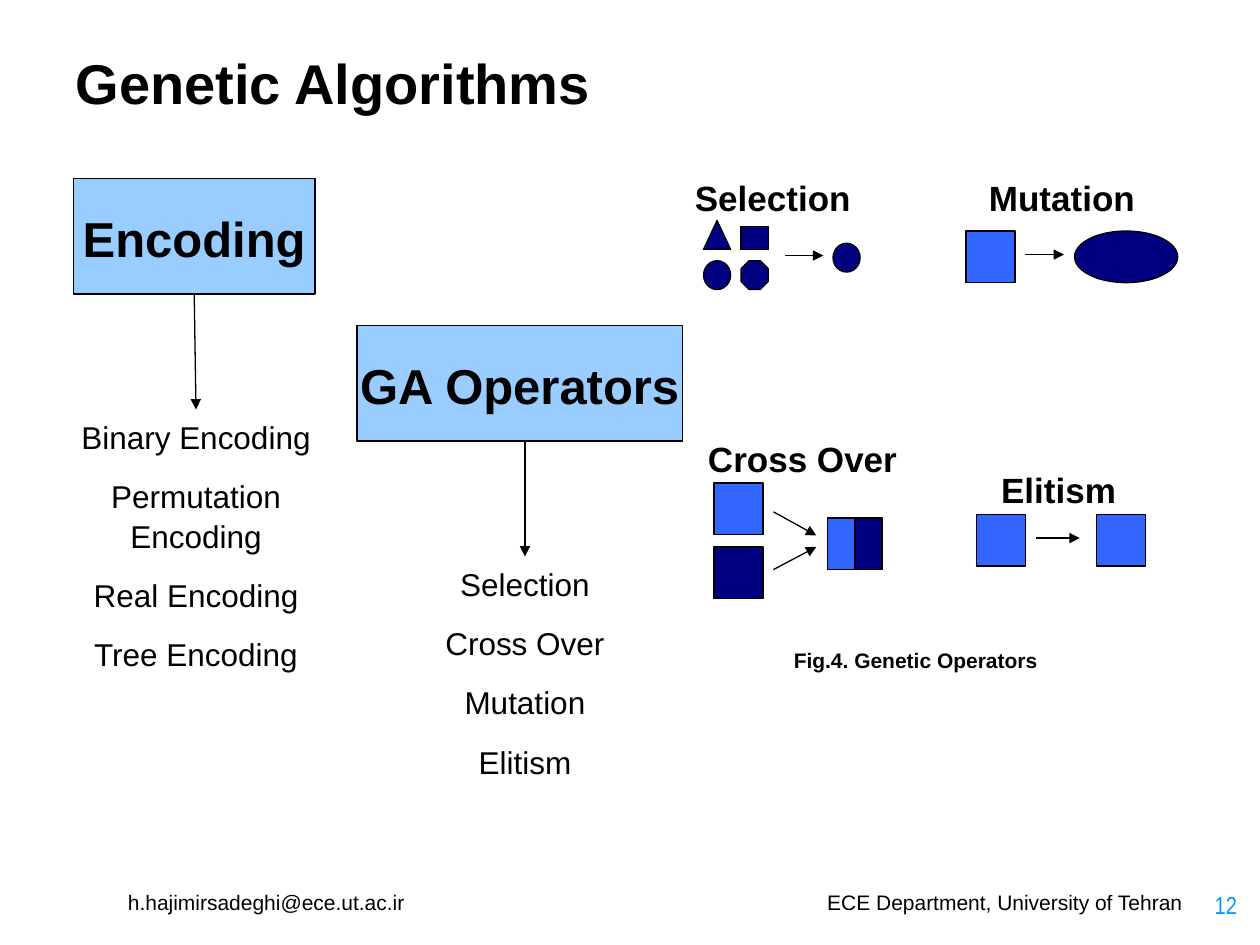
from lxml.etree import SubElement
from pptx import Presentation
from pptx.dml.color import RGBColor
from pptx.enum.shapes import MSO_CONNECTOR, MSO_SHAPE as S
from pptx.enum.text import MSO_ANCHOR, MSO_AUTO_SIZE, PP_ALIGN
from pptx.oxml.ns import qn
from pptx.util import Pt

THEME = {
    "font": "Arial", "narrow": "Arial Narrow",
    "ink": "000000", "panel": "99CCFF", "blue": "3366FF", "navy": "000080",
    "number": "0099FF",
    "title": 32, "box": 28, "head": 20, "list": 18, "page": 14, "small": 12,
    "line": 0.75, "leading": 1.05, "gap": 11.2,
}

# Boxes are (left, top, width, height) in points.
TITLE = ("Genetic Algorithms", (36, 25, 594, 42))
TOPICS = [
    ("Encoding", (42, 102, 138, 66), (22, 234, 180, 149),
     ["Binary Encoding", "Permutation Encoding", "Real Encoding",
      "Tree Encoding"]),
    ("GA Operators", (204, 186, 186, 66), (210, 318, 180, 127),
     ["Selection", "Cross Over", "Mutation", "Elitism"]),
]
TILE, HALF, DOT = (28, 29.5), (15.5, 29.5), (15.5, 16.5)
# Each operator: heading, its box, shapes, arrows.
OPERATORS = [
    ("Selection", (390, 96, 107, 32),
     [(S.ISOSCELES_TRIANGLE, (402, 126, *DOT), "navy"),
      (S.RECTANGLE, (423.5, 129.5, 15.5, 13), "navy"),
      (S.OVAL, (402, 149, *DOT), "navy"),
      (S.OCTAGON, (423.5, 149, *DOT), "navy"),
      (S.OVAL, (476, 139, *DOT), "navy")],
     [(448.5, 146, 470.5, 146)]),
    ("Mutation", (558, 96, 101, 32),
     [(S.RECTANGLE, (552, 132, *TILE), "blue"),
      (S.OVAL, (614, 132, 59, 29.5), "navy")],
     [(586, 145.5, 608, 145.5)]),
    ("Cross Over", (397.5, 245, 125, 32),
     [(S.RECTANGLE, (408, 276, *TILE), "blue"),
      (S.RECTANGLE, (408, 312.5, *TILE), "navy"),
      (S.RECTANGLE, (473, 296, *HALF), "blue"),
      (S.RECTANGLE, (488.5, 296, *HALF), "navy")],
     [(442, 292.5, 466.5, 306), (442, 325.5, 466.5, 312.5)]),
    ("Elitism", (565, 263, 83, 32),
     [(S.RECTANGLE, (558, 294, *TILE), "blue"),
      (S.RECTANGLE, (626.5, 294, *TILE), "blue")],
     [(592, 307.5, 617, 307.5)]),
]
LABELS = [
    ("Fig.4. Genetic Operators", (446.5, 366, 153, 21.5),
     {"bold": True, "wrap": False}),
    ("h.hajimirsadeghi@ece.ut.ac.ir", (66, 504, 240, 22), {}),
    ("ECE Department, University of Tehran", (442, 504, 241, 22),
     {"align": PP_ALIGN.RIGHT}),
    ("12", (684, 504, 30, 24),
     {"align": PP_ALIGN.RIGHT, "size": "page", "font": "narrow",
      "color": "number"}),
]


def tone(name):
    return RGBColor.from_string(THEME[name])


def place(shape, box):
    shape.left, shape.top, shape.width, shape.height = map(Pt, box)
    return shape


def write(shape, lines, size="small", bold=False, color="ink", font="font",
          align=PP_ALIGN.LEFT, anchor=MSO_ANCHOR.TOP, wrap=True):
    frame = shape.text_frame
    frame.auto_size = MSO_AUTO_SIZE.NONE
    frame.word_wrap, frame.vertical_anchor = wrap, anchor
    frame.text = "\n".join(lines)
    for i, para in enumerate(frame.paragraphs):
        props = para._p.get_or_add_pPr()
        props.set("marL", "0")
        props.set("indent", "0")
        SubElement(props, qn("a:buNone"))
        para.alignment = align
        para.line_spacing = THEME["leading"]
        para.space_before = Pt(THEME["gap"] if i else 0)
        para.font.name, para.font.size = THEME[font], Pt(THEME[size])
        para.font.bold, para.font.color.rgb = bold, tone(color)


def label(slide, text, box, **style):
    write(slide.shapes.add_textbox(*map(Pt, box)), [text], **style)


def draw(shapes, kind, box, fill):
    shape = shapes.add_shape(kind, *map(Pt, box))
    shape.shadow.inherit = False
    shape.fill.solid()
    shape.fill.fore_color.rgb = tone(fill)
    shape.line.color.rgb = tone("ink")
    shape.line.width = Pt(THEME["line"])
    return shape


def arrow(shapes, ends):
    link = shapes.add_connector(MSO_CONNECTOR.STRAIGHT, *map(Pt, ends))
    link.line.color.rgb = tone("ink")
    link.line.width = Pt(THEME["line"])
    SubElement(link.line._get_or_add_ln(), qn("a:tailEnd"), type="triangle")
    SubElement(link._element.spPr, qn("a:effectLst"))
    return link


def topic(slide, holder, name, box, area, items):
    """Draw a headed box with an arrow down to its list."""
    head = draw(slide.shapes, S.RECTANGLE, box, "panel")
    write(head, [name], size="box", bold=True, align=PP_ALIGN.CENTER,
          anchor=MSO_ANCHOR.MIDDLE, wrap=False)
    write(place(holder, area), items, size="list", align=PP_ALIGN.CENTER)
    mid = area[0] + area[2] / 2
    link = arrow(slide.shapes, (mid, box[1] + box[3], mid, area[1]))
    if abs(box[0] + box[2] / 2 - mid) < 2:
        link.begin_connect(head, 2)
    link.end_connect(holder, 0)


def main():
    deck = Presentation()
    deck.slide_width, deck.slide_height = Pt(720), Pt(540)
    slide = deck.slides.add_slide(deck.slide_layouts[3])
    title, *bodies = slide.placeholders
    write(place(title, TITLE[1]), [TITLE[0]], size="title", bold=True,
          anchor=MSO_ANCHOR.MIDDLE)
    for holder, row in zip(bodies, TOPICS):
        topic(slide, holder, *row)
    for name, box, parts, links in OPERATORS:
        label(slide, name, box, size="head", bold=True)
        group = slide.shapes.add_group_shape()
        for part in parts:
            draw(group.shapes, *part)
        for ends in links:
            arrow(group.shapes, ends)
    for text, box, style in LABELS:
        label(slide, text, box, **style)
    deck.save("out.pptx")


if __name__ == "__main__":
    main()
